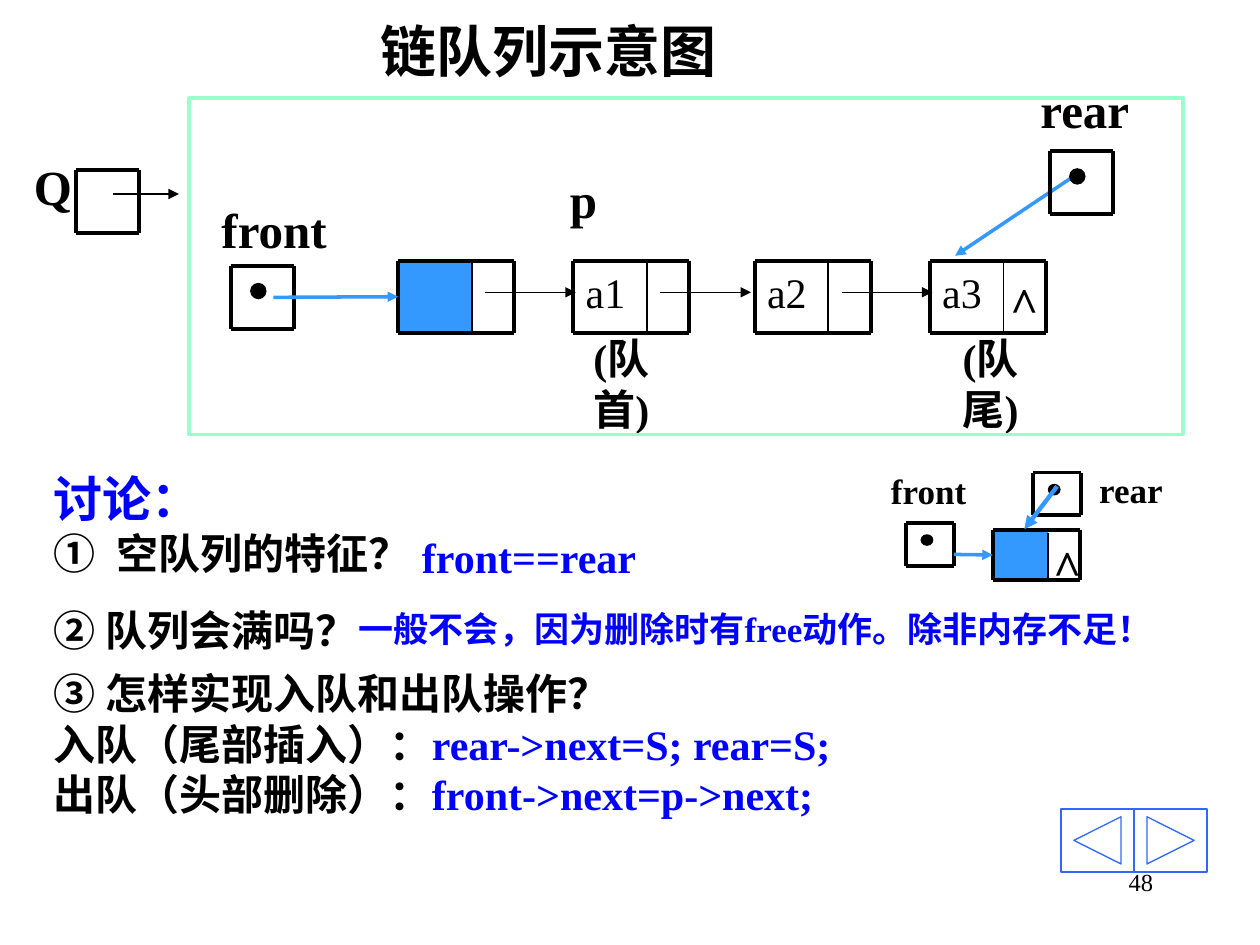
from lxml import etree
from pptx import Presentation
from pptx.dml.color import RGBColor
from pptx.enum import shapes, text
from pptx.oxml.ns import qn
from pptx.util import Inches, Pt

BLACK = RGBColor(0, 0, 0)
BLUE = RGBColor(0x00, 0x00, 0xFF)
SKY = RGBColor(0x33, 0x99, 0xFF)
MINT = RGBColor(0x99, 0xFF, 0xCC)
BUTTON = RGBColor(0x33, 0x66, 0xFF)
MIDDLE = text.MSO_ANCHOR.MIDDLE
CENTER, RIGHT = text.PP_ALIGN.CENTER, text.PP_ALIGN.RIGHT
LEFT_SIDE = 1


def add_run(p, words, size, color=BLACK, bold=True):
    r = p.add_run()
    r.text = words
    formats = {"name": "Times New Roman", "size": Pt(size), "bold": bold}
    for key, value in formats.items():
        setattr(r.font, key, value)
    r.font.color.rgb = color


def add_box(sps, x, y, w, h, wrap=True, **frame):
    tf = sps.add_textbox(Inches(x), Inches(y), Inches(w), Inches(h)).text_frame
    tf.word_wrap = wrap
    for key, value in frame.items():
        setattr(tf, key, value)
    return tf


def label(sps, x, y, w, h, words, size=28, align=CENTER):
    p = add_box(sps, x, y, w, h, vertical_anchor=MIDDLE).paragraphs[0]
    p.alignment = align
    add_run(p, words, size)


def line(sps, x1, y1, x2, y2, width=2.25, color=BLACK, arrow=False):
    c = sps.add_connector(shapes.MSO_CONNECTOR.STRAIGHT,
                          Inches(x1), Inches(y1), Inches(x2), Inches(y2))
    c.line.color.rgb = color
    c.line.width = Pt(width)
    if arrow:
        etree.SubElement(c.line._get_or_add_ln(), qn("a:tailEnd"), type="triangle")
    etree.SubElement(c.element.spPr, qn("a:effectLst"))
    return c


def shape(sps, kind, x, y, w, h, fill=None, color=None, width=0.75):
    sp = sps.add_shape(kind, Inches(x), Inches(y), Inches(w), Inches(h))
    sp.shadow.inherit = False
    for part, rgb in ((sp.fill, fill), (sp.line.fill, color)):
        if rgb is None:
            part.background()
        else:
            part.solid()
            part.fore_color.rgb = rgb
    if color is not None:
        sp.line.width = Pt(width)
    return sp


def outline(sps, x, y, w, h):
    for edge in ((x, y, x + w, y), (x, y + h, x + w, y + h),
                 (x, y, x, y + h), (x + w, y, x + w, y + h)):
        line(sps, *edge)


def pointer_cell(sps, x, y, w, h):
    outline(sps, x, y, w, h)
    shape(sps, shapes.MSO_SHAPE.OVAL, x + 0.32 * w, y + 0.28 * h,
          0.24 * w, 0.24 * h, BLACK, BLACK)


def node(sps, x, y, w, h, data=None):
    """Draw a data field and a next field; a node without data is the head."""
    split = 0.635 * w
    head = None
    if data:
        add_run(add_box(sps, x, y, split, h).paragraphs[0], data, 24, bold=False)
    else:
        head = shape(sps, shapes.MSO_SHAPE.RECTANGLE, x, y, split, h, SKY)
    outline(sps, x, y, w, h)
    line(sps, x + split, y + 0.02, x + split, y + h + 0.02, 1)
    return head


def title(s, x, y, w, h):
    sp = s.shapes.title
    place = {"left": x, "top": y, "width": w, "height": h}
    for key, value in place.items():
        setattr(sp, key, Inches(value))
    sp.text_frame.vertical_anchor = MIDDLE
    p = sp.text_frame.paragraphs[0]
    p.alignment = text.PP_ALIGN.LEFT
    add_run(p, "链队列示意图", 32)


def queue_handle(s, x, y):
    sps = s.shapes.add_group_shape().shapes
    label(sps, x, y, 0.39, 0.57, "Q")
    line(sps, x + 0.73, y + 0.35, x + 1.25, y + 0.35, 0.75, arrow=True)
    outline(sps, x + 0.43, y + 0.16, 0.5, 0.5)


def linked_queue(s, x, y, w, h):
    sps = s.shapes.add_group_shape().shapes
    # Captions under the first and last nodes, then the frame
    for dx, words in ((2.91, "(队首)"), (5.84, "(队尾)")):
        tf = add_box(sps, x + dx, y + 2.01, 1.09, 0.5, vertical_anchor=MIDDLE,
                     margin_left=Inches(0.3), margin_right=Inches(0.15))
        add_run(tf.paragraphs[0], words, 24)
    shape(sps, shapes.MSO_SHAPE.RECTANGLE, x, y, w, h, color=MINT, width=2)
    for dx, dy, width, words in ((0.08, 0.75, 1.19, "front"),
                                 (6.64, -0.2, 0.94, "rear"),
                                 (2.92, 0.51, 0.42, "p")):
        label(sps, x + dx, y + dy, width, 0.57, words)

    # Node chain
    row = y + 1.29
    starts = [x + dx for dx in (1.66, 3.05, 4.49, 5.88)]
    heads = [node(sps, left, row, 0.92, 0.57, data)
             for left, data in zip(starts, (None, "a1", "a2", "a3"))]
    for left in starts[:-1]:
        line(sps, left + 0.69, row + 0.25, left + 1.41, row + 0.25, 0.75, arrow=True)
    label(sps, x + 6.38, y + 1.34, 0.5, 0.57, "^")

    # Front and rear pointers
    pointer_cell(sps, x + 0.33, y + 1.33, 0.5, 0.5)
    front = line(sps, x + 0.67, y + 1.58, starts[0], y + 1.58, 2, SKY, True)
    front.end_connect(heads[0], LEFT_SIDE)
    line(sps, x + 7.08, y + 0.58, x + 6.08, y + 1.25, 2, SKY, True)
    pointer_cell(sps, x + 6.83, y + 0.42, 0.5, 0.5)


def empty_queue(s, x, y):
    sps = s.shapes.add_group_shape().shapes
    label(sps, x, y + 0.01, 0.9, 0.43, "front", 20)
    label(sps, x + 1.7, y, 0.71, 0.43, "rear", 20)
    for dx, dy in ((0.27, 0.48), (1.28, 0.08)):
        pointer_cell(sps, x + dx, y + dy, 0.38, 0.34)
    head = node(sps, x + 0.96, y + 0.54, 0.69, 0.39)
    tf = add_box(sps, x + 1.34, y + 0.54, 0.43, 0.57, wrap=False)
    add_run(tf.paragraphs[0], "^", 28)
    front = line(sps, x + 0.65, y + 0.73, x + 0.96, y + 0.73, 2, SKY, True)
    front.end_connect(head, LEFT_SIDE)
    line(sps, x + 1.47, y + 0.19, x + 1.21, y + 0.53, 2.5, SKY, True)


def hanging(p, numbered=False):
    pPr = p._p.get_or_add_pPr()
    pPr.set("marL", str(Inches(0.5)))
    pPr.set("indent", str(-Inches(0.5)))
    if numbered:
        etree.SubElement(pPr, qn("a:buAutoNum"), type="circleNumDbPlain")


def discussion(s, x, y):
    # Each box: place, wrap, and paragraphs of (words, size, colour) runs
    boxes = [
        ((0, 0, 4.83, 0.97), True, [[("讨论：", 28, BLUE)],
                                    [("空队列的特征？", 24, BLACK)]]),
        ((0, 1.58, 6.42, 1.3), True, [
            [("③ 怎样实现入队和出队操作？", 24, BLACK)],
            [("入队（尾部插入）：", 24, BLACK), ("rear->next=S; rear=S;", 24, BLUE)],
            [("出队（头部删除）：", 24, BLACK), ("front->next=p->next;", 24, BLUE)]]),
        ((0, 1.08, 2.62, 0.5), False, [[("② 队列会满吗？", 24, BLACK)]]),
        ((2.92, 0.5, 1.92, 0.51), False, [[("front==rear", 24, BLUE)]]),
        ((2.42, 1.1, 6.53, 0.43), False,
         [[("一般不会，因为删除时有free动作。除非内存不足！", 20, BLUE)]]),
    ]
    for (dx, dy, w, h), wrap, paragraphs in boxes:
        tf = add_box(s.shapes, x + dx, y + dy, w, h, wrap)
        for i, runs in enumerate(paragraphs):
            p = tf.add_paragraph() if i else tf.paragraphs[0]
            if dx == 0:
                hanging(p, numbered=runs[0][0].startswith("空"))
            for run in runs:
                add_run(p, *run)


def navigation(s, x, y, w, h):
    for i in range(2):
        sp = shape(s.shapes, shapes.MSO_SHAPE.ACTION_BUTTON_FORWARD_OR_NEXT,
                   x + i * w, y, w, h, color=BUTTON)
        if i == 0:
            sp.element.spPr.get_or_add_xfrm().set("flipH", "1")
    # Page number
    p = add_box(s.shapes, x - 1.25, y + 0.41, 2.08, 0.5).paragraphs[0]
    p.alignment = RIGHT
    add_run(p, "48", 14, bold=False)


def main():
    prs = Presentation()
    prs.slide_width, prs.slide_height = Inches(10), Inches(7.5)
    s = prs.slides.add_slide(prs.slide_layouts[5])
    title(s, 2.92, 0.08, 3.17, 0.64)
    queue_handle(s, 0.17, 1.19)
    linked_queue(s, 1.5, 0.78, 7.89, 2.67)
    empty_queue(s, 6.92, 3.67)
    discussion(s, 0.33, 3.67)
    navigation(s, 8.42, 6.42, 0.58, 0.5)
    prs.save("out.pptx")


if __name__ == "__main__":
    main()
